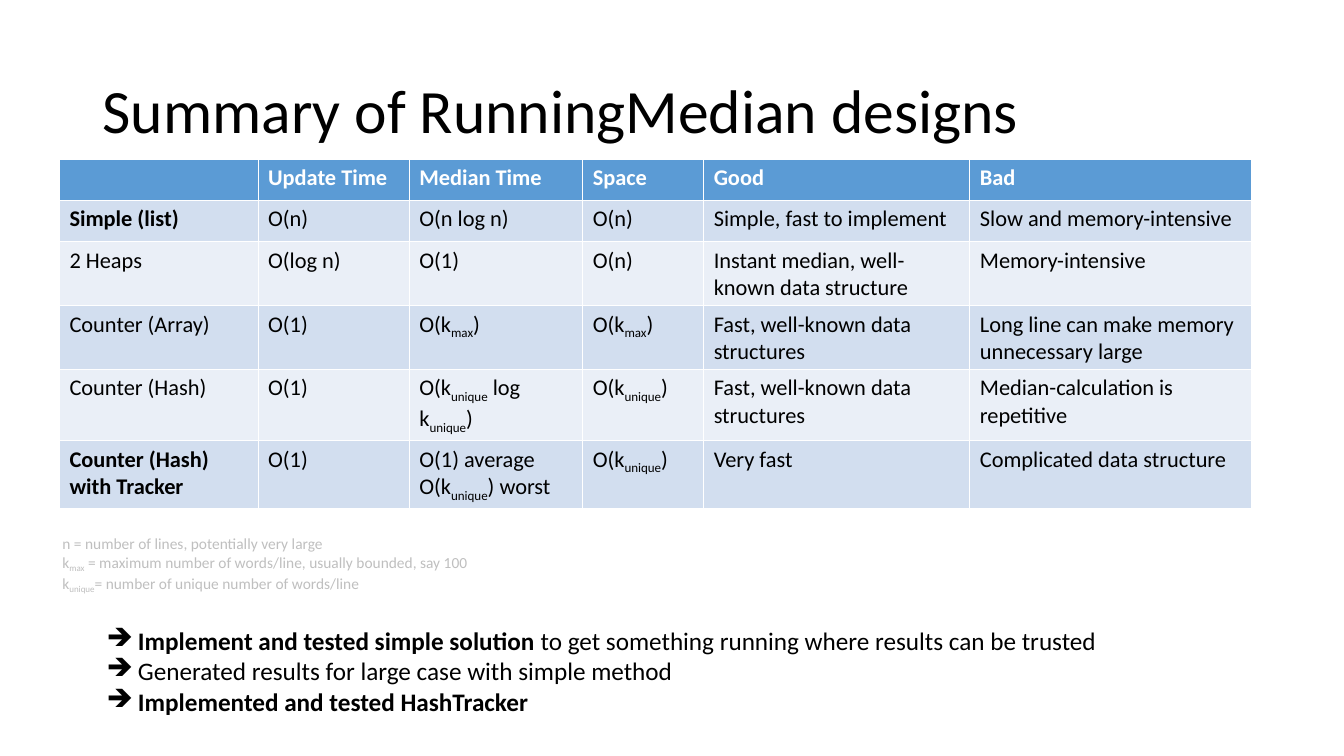
from dataclasses import dataclass
from lxml.etree import SubElement
from pptx import Presentation
from pptx.dml.color import RGBColor
from pptx.enum.text import MSO_ANCHOR
from pptx.oxml.ns import qn
from pptx.util import Inches, Pt


@dataclass(frozen=True)
class Theme:
    font: str = "Calibri"
    ink: str = "000000"
    muted: str = "BFBFBF"
    white: str = "FFFFFF"
    header: str = "5B9BD5"
    bands: tuple = ("D2DEEF", "EAEFF7")
    title_size: int = 44
    body_size: int = 18
    table_size: int = 16
    legend_size: int = 11


theme = Theme()


def write(paragraph, marked_text, size, color, bold=False):
    for index, piece in enumerate(marked_text.split("~")):
        run = paragraph.add_run()
        run.text = piece
        run.font.name = theme.font
        run.font.size = Pt(size)
        run.font.bold = bold
        run.font.color.rgb = RGBColor.from_string(color)
        if index % 2:
            run.font._element.set("baseline", "-25000")


def add_frame(left, top, width, height):
    frame = slide.shapes.add_textbox(
        Inches(left), Inches(top), Inches(width), Inches(height)).text_frame
    frame.word_wrap = True
    return frame


presentation = Presentation()
presentation.slide_width = Inches(13.33)
presentation.slide_height = Inches(7.5)
slide = presentation.slides.add_slide(presentation.slide_layouts[6])

title = add_frame(0.92, 0.4, 11.5, 1.45)
title.vertical_anchor = MSO_ANCHOR.MIDDLE
title.paragraphs[0].line_spacing = 0.9
write(title.paragraphs[0], "Summary of RunningMedian designs", theme.title_size, theme.ink)

designs = [
    ["", "Update Time", "Median Time", "Space", "Good", "Bad"],
    ["Simple (list)", "O(n)", "O(n log n)", "O(n)",
     "Simple, fast to implement", "Slow and memory-intensive"],
    ["2 Heaps", "O(log n)", "O(1)", "O(n)",
     "Instant median, well-known data structure", "Memory-intensive"],
    ["Counter (Array)", "O(1)", "O(k~max~)", "O(k~max~)",
     "Fast, well-known data structures", "Long line can make memory unnecessary large"],
    ["Counter (Hash)", "O(1)", "O(k~unique~ log k~unique~)", "O(k~unique~)",
     "Fast, well-known data structures", "Median-calculation is repetitive"],
    ["Counter (Hash) with Tracker", "O(1)", "O(1) average\nO(k~unique~) worst", "O(k~unique~)",
     "Very fast", "Complicated data structure"],
]
highlighted = {"Simple (list)", "Counter (Hash) with Tracker"}
column_widths = [1.97, 1.5, 1.72, 1.2, 2.64, 2.79]
row_height = 0.41
comparison = slide.shapes.add_table(
    len(designs), len(column_widths), Inches(0.59), Inches(1.58),
    Inches(sum(column_widths)), Inches(row_height * len(designs))).table
for column, width in zip(comparison.columns, column_widths):
    column.width = Inches(width)

for row_index, design in enumerate(designs):
    comparison.rows[row_index].height = Inches(row_height)
    is_header = row_index == 0
    fill = theme.header if is_header else theme.bands[(row_index - 1) % 2]
    color = theme.white if is_header else theme.ink
    for column_index, entry in enumerate(design):
        cell = comparison.cell(row_index, column_index)
        cell.fill.solid()
        cell.fill.fore_color.rgb = RGBColor.from_string(fill)
        for line_index, line in enumerate(entry.split("\n")):
            frame = cell.text_frame
            paragraph = frame.add_paragraph() if line_index else frame.paragraphs[0]
            write(paragraph, line, theme.table_size, color, is_header or entry in highlighted)

legend = [
    "n = number of lines, potentially very large",
    "k~max~ = maximum number of words/line, usually bounded, say 100",
    "k~unique~= number of unique number of words/line",
]
steps = [
    ("Implement and tested simple solution",
     " to get something running where results can be trusted"),
    ("", "Generated results for large case with simple method"),
    ("Implemented and tested HashTracker", ""),
]
notes = add_frame(0.52, 5.25, 10.49, 1.77)
for index, definition in enumerate(legend):
    paragraph = notes.add_paragraph() if index else notes.paragraphs[0]
    write(paragraph, definition, theme.legend_size, theme.muted)

for index, (strong, plain) in enumerate(steps):
    paragraph = notes.add_paragraph()
    if index == 0:
        paragraph.space_before = Pt(22)
    properties = paragraph._p.get_or_add_pPr()
    properties.set("marL", str(Inches(0.75)))
    properties.set("indent", str(Inches(-0.31)))
    SubElement(properties, qn("a:buChar")).set("char", "➔")
    for part, bold in ((strong, True), (plain, False)):
        if part:
            write(paragraph, part, theme.body_size, theme.ink, bold)

presentation.save("out.pptx")
